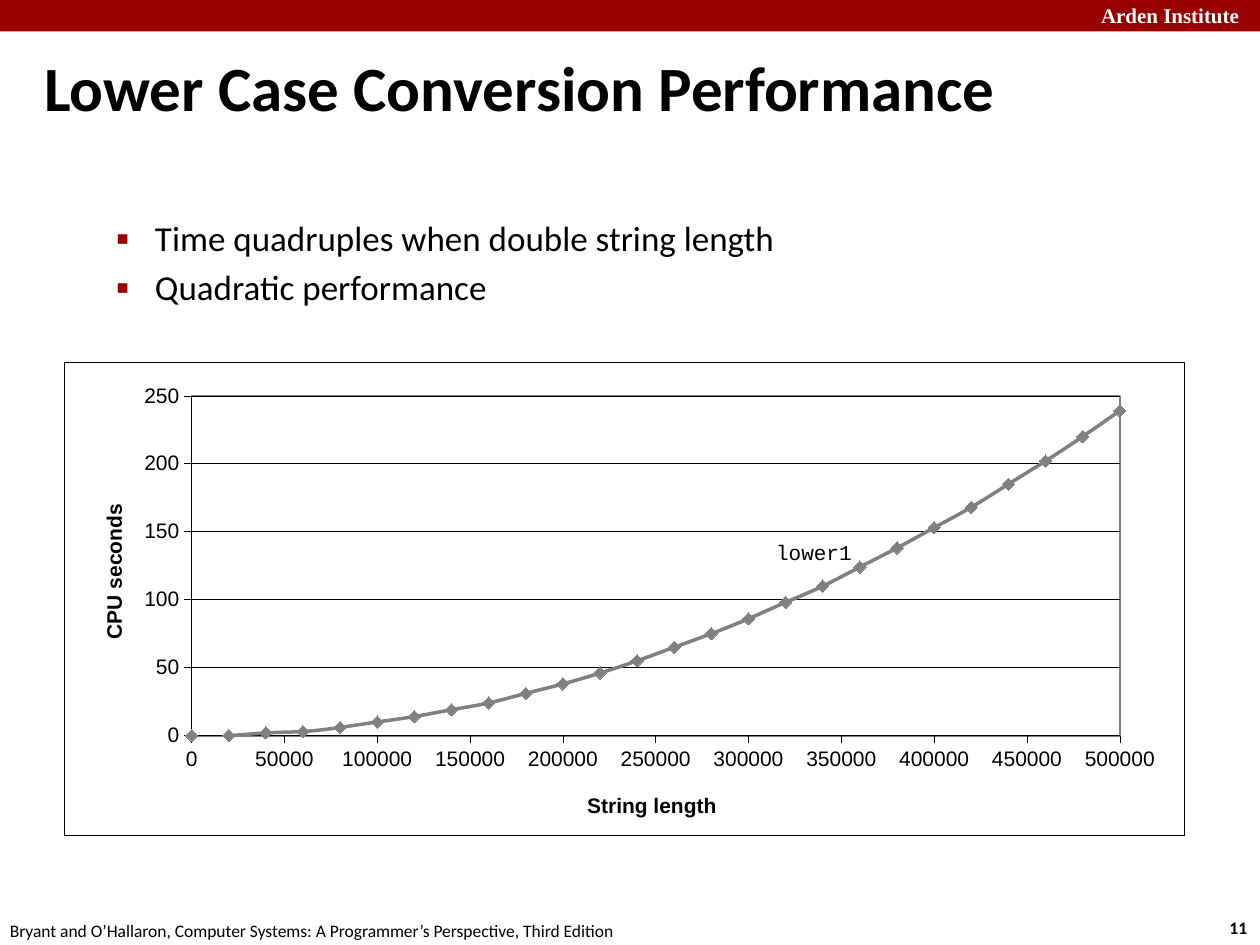
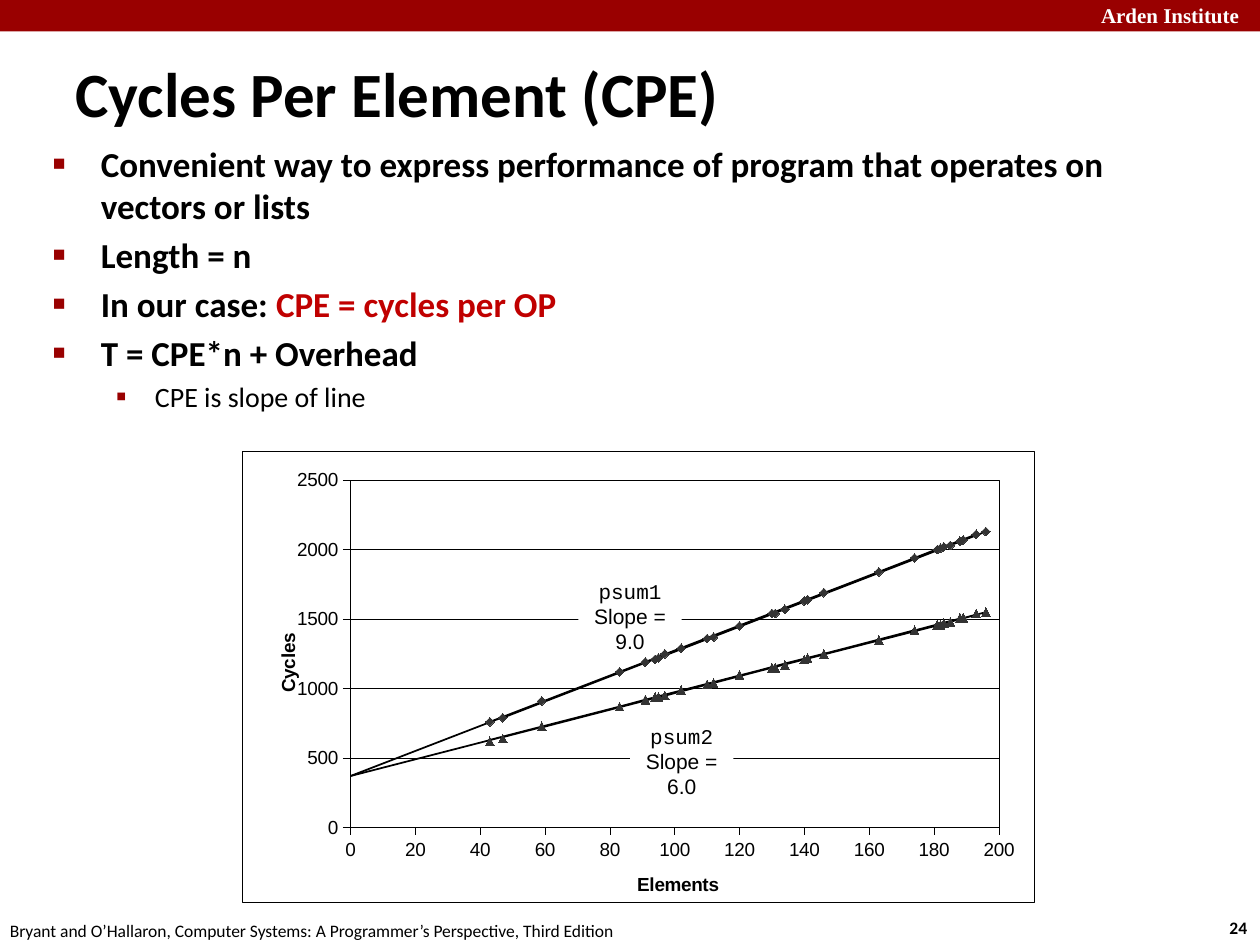
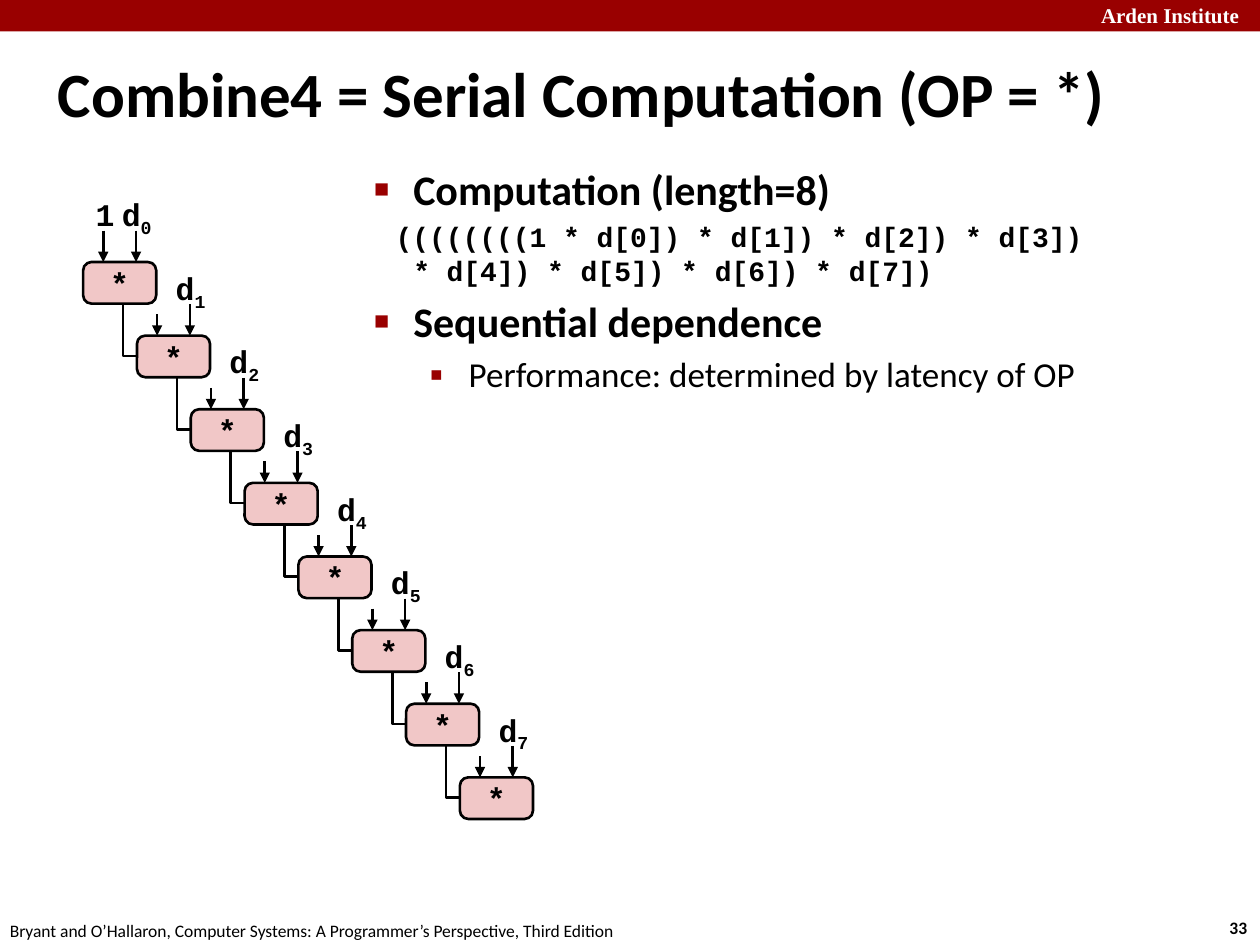
from copy import deepcopy

from lxml import etree
from pptx import Presentation
from pptx.chart.data import XyChartData
from pptx.dml.color import RGBColor
from pptx.enum.chart import XL_CHART_TYPE as ChartType, XL_MARKER_STYLE as Marker
from pptx.enum.chart import XL_TICK_MARK as Tick
from pptx.enum.shapes import MSO_CONNECTOR as Connector, MSO_SHAPE as Shape
from pptx.enum.text import MSO_ANCHOR as Anchor, MSO_AUTO_SIZE as AutoSize, PP_ALIGN as Align
from pptx.oxml import parse_xml
from pptx.oxml.ns import nsdecls, qn
from pptx.util import Inches, Pt

BLACK, WHITE, BAND_RED, ACCENT_RED = "000000", "FFFFFF", "990000", "C00000"
GREY, DARK, NODE_PINK = "808080", "333333", "F1C7C7"
SANS, CHART_FONT, MONO, SERIF = "Calibri", "Arial", "Courier New", "Times New Roman"
ORGANISATION = "Arden Institute"
SOURCE = "Bryant and O’Hallaron, Computer Systems: A Programmer’s Perspective, Third Edition"

# Measured values; the run at length 0 was not measured
LOWER1_SECONDS = [0, 0, 2, 3, 6, 10, 14, 19, 24, 31, 38, 46, 55, 65, 75, 86, 98, 110,
                  124, 138, 153, 168, 185, 202, 220, 239]
ELEMENTS = [0, 193, 120, 91, 95, 196, 97, 181, 91, 83, 43, 183, 140, 146, 94, 134, 163,
            131, 110, 182, 189, 112, 141, 185, 188, 47, 130, 102, 59, 174]
PSUM1_CYCLES = [None, 2110, 1450, 1190, 1220, 2130, 1250, 2000, 1190, 1120, 760, 2020,
                1630, 1690, 1210, 1570, 1840, 1540, 1360, 2010, 2070, 1370, 1640, 2030,
                2060, 790, 1540, 1290, 910, 1940]
PSUM2_CYCLES = [None, 1540, 1100, 920, 940, 1550, 950, 1460, 920, 870, 620, 1470, 1210,
                1250, 940, 1170, 1350, 1150, 1030, 1460, 1510, 1040, 1220, 1480, 1510,
                640, 1150, 990, 730, 1420]
OVERHEAD = 370


def rgb(value):
    return RGBColor.from_string(value)


def inches(*lengths):
    return [Inches(length) for length in lengths]


# Text helpers
def add_run(paragraph, text, size, font=SANS, color=BLACK, bold=False):
    run = paragraph.add_run()
    run.text = text
    run.font.size, run.font.name, run.font.bold = Pt(size), font, bold
    run.font.color.rgb = rgb(color)
    return run


def set_insets(frame, left, top, right, bottom):
    frame.margin_left, frame.margin_top, frame.margin_right, frame.margin_bottom = inches(
        left, top, right, bottom)


def add_label(slide, box, wrap=False):
    frame = slide.shapes.add_textbox(*inches(*box)).text_frame
    frame.word_wrap = wrap
    frame.auto_size = AutoSize.SHAPE_TO_FIT_TEXT
    return frame


def add_filled(slide, kind, box, color):
    shape = slide.shapes.add_shape(kind, *inches(*box))
    shape.shadow.inherit = False
    shape.fill.solid()
    shape.fill.fore_color.rgb = rgb(color)
    shape.line.fill.background()
    return shape


def set_line(line, color, width):
    line.color.rgb = rgb(color)
    line.width = Pt(width)


# Shared slide frame
def add_base_slide(prs, title, title_box, number):
    slide = prs.slides.add_slide(prs.slide_layouts[1])
    add_filled(slide, Shape.RECTANGLE, (0, 0, 10, 0.25), BAND_RED)
    organisation = add_label(slide, (8.64, -0.03, 1.43, 0.3), wrap=True)
    add_run(organisation.paragraphs[0], ORGANISATION, 12, SERIF, WHITE, True)
    page = add_label(slide, (9.66, 7.23, 0.37, 0.27))
    add_run(page.paragraphs[0], number, 10, bold=True)
    add_run(add_label(slide, (-0.02, 7.25, 5.08, 0.27)).paragraphs[0], SOURCE, 10)

    heading = slide.shapes.title
    heading.left, heading.top, heading.width, heading.height = inches(*title_box)
    heading.text_frame.auto_size = AutoSize.NONE
    heading.text_frame.vertical_anchor = Anchor.MIDDLE
    heading.text_frame.paragraphs[0].alignment = Align.LEFT
    add_run(heading.text_frame.paragraphs[0], title, 36, bold=True)
    return slide


# Bulleted body
def place_body(slide, box):
    body = slide.placeholders[1]
    body.left, body.top, body.width, body.height = inches(*box)
    body.text_frame.auto_size = AutoSize.NONE
    return body.text_frame


def add_item(frame, margin, hanging, bullet=None, bullet_size=100, level=0):
    paragraph = frame.paragraphs[0]
    if paragraph.runs:
        paragraph = frame.add_paragraph()
    paragraph.level = level
    props = paragraph._p.get_or_add_pPr()
    props.set("marL", str(Inches(margin)))
    props.set("indent", str(-Inches(hanging)))
    if bullet is None:
        etree.SubElement(props, qn("a:buNone"))
        return paragraph
    color = etree.SubElement(props, qn("a:buClr"))
    etree.SubElement(color, qn("a:srgbClr"), val=BAND_RED)
    etree.SubElement(props, qn("a:buSzPct"), val=str(bullet_size * 1000))
    etree.SubElement(props, qn("a:buFont"), typeface=CHART_FONT)
    etree.SubElement(props, qn("a:buChar"), char=bullet)
    return paragraph


def add_point(frame, text, size, indent=0.38):
    paragraph = add_item(frame, indent, indent, "■", 60)
    add_run(paragraph, text, size, bold=True)
    return paragraph


def add_subpoint(frame, text, size, margin=0.81):
    add_run(add_item(frame, margin, 0.31, "▪", 110, level=1), text, size)


# Scatter charts
def layout_element(chart_box, part_box, inner=False):
    """Place a chart part; part_box is in inches from the chart's corner."""
    layout = etree.Element(qn("c:layout"))
    manual = etree.SubElement(layout, qn("c:manualLayout"))
    settings = [("layoutTarget", "inner")] if inner else []
    settings += [("xMode", "edge"), ("yMode", "edge")]
    width, height = chart_box[2:]
    settings += [(tag, length / whole) for tag, length, whole
                 in zip("xywh", part_box, (width, height, width, height))]
    for tag, value in settings:
        etree.SubElement(manual, qn(f"c:{tag}"), val=str(value))
    return layout


def drop_layout(parent):
    for automatic in parent.findall(qn("c:layout")):
        parent.remove(automatic)


def style_axis(axis, chart_box, size, title, title_at, top, unit):
    axis.minimum_scale, axis.maximum_scale, axis.major_unit = 0, top, unit
    axis.major_tick_mark, axis.minor_tick_mark = Tick.OUTSIDE, Tick.NONE
    axis.has_major_gridlines = False
    axis.tick_labels.font.size = Pt(size)
    set_line(axis.format.line, BLACK, 0.25)
    add_run(axis.axis_title.text_frame.paragraphs[0], title, size, CHART_FONT, bold=True)
    title_element = axis.axis_title._element
    drop_layout(title_element)
    title_element.find(qn("c:tx")).addnext(layout_element(chart_box, title_at))


def outline_xml(color, width, fill):
    return parse_xml(
        f'<c:spPr {nsdecls("c", "a")}>{fill}<a:ln w="{Pt(width)}"><a:solidFill>'
        f'<a:srgbClr val="{color}"/></a:solidFill></a:ln></c:spPr>')


def set_plot_area(chart, chart_box, plot_box, border):
    area = chart._chartSpace.find(".//" + qn("c:plotArea"))
    drop_layout(area)
    area.insert(0, layout_element(chart_box, plot_box, inner=True))
    area.append(outline_xml(*border, "<a:noFill/>"))


def clear_missing_values(chart):
    for point in list(chart._chartSpace.iter(qn("c:pt"))):
        if point.findtext(qn("c:v")) in ("None", "", None):
            point.getparent().remove(point)


def add_scatter(slide, box, plot_box, border, kind, series_points, x_axis, y_axis, size):
    data = XyChartData()
    for index, points in enumerate(series_points, 1):
        series = data.add_series(f"Series {index}")
        for x, y in points:
            series.add_data_point(x, y)
    chart = slide.shapes.add_chart(kind, *inches(*box), data).chart
    clear_missing_values(chart)
    chart.has_title = chart.has_legend = False
    chart.font.size, chart.font.name = Pt(size), CHART_FONT
    chart.font.color.rgb = rgb(BLACK)
    chart.plots[0].vary_by_categories = False
    style_axis(chart.category_axis, box, size, *x_axis)
    style_axis(chart.value_axis, box, size, *y_axis)
    set_line(chart.value_axis.major_gridlines.format.line, BLACK, 0.25)
    set_plot_area(chart, box, plot_box, border)
    white = f'<a:solidFill><a:srgbClr val="{WHITE}"/></a:solidFill>'
    chart._chartSpace.find(qn("c:chart")).addnext(outline_xml(BLACK, 0.25, white))
    smooth = "1" if kind == ChartType.XY_SCATTER_SMOOTH else "0"
    for flag in chart._chartSpace.iter(qn("c:smooth")):
        flag.set("val", smooth)
    return chart


def style_series(series, marker, marker_size=5, color=DARK, line=None):
    series.marker.style = marker
    if marker != Marker.NONE:
        series.marker.size = marker_size
        series.marker.format.fill.solid()
        series.marker.format.fill.fore_color.rgb = rgb(color)
        series.marker.format.line.color.rgb = rgb(color)
    if line:
        set_line(series.format.line, *line)
    else:
        series.format.line.fill.background()


def add_slope_label(slide, left, top, function, slope):
    label = add_filled(slide, Shape.RECTANGLE, (left, top, 0.82, 0.37), WHITE)
    frame = label.text_frame
    frame.word_wrap = True
    frame.auto_size = AutoSize.SHAPE_TO_FIT_TEXT
    frame.vertical_anchor = Anchor.TOP
    set_insets(frame, 0.03, 0.03, 0.03, 0)
    name_line, slope_line = frame.paragraphs[0], frame.add_paragraph()
    name_line.alignment = slope_line.alignment = Align.CENTER
    add_run(name_line, function, 12, MONO)
    add_run(slope_line, f"Slope = {slope}", 12, CHART_FONT)


# Computation chain
def add_arrow(slide, x, top, bottom):
    arrow = slide.shapes.add_connector(Connector.STRAIGHT, *inches(x, top, x, bottom))
    set_line(arrow.line, BLACK, 1.5)
    props = arrow.element.find(qn("p:spPr"))
    etree.SubElement(props.find(qn("a:ln")), qn("a:tailEnd"), type="triangle")
    etree.SubElement(props, qn("a:effectLst"))


def add_operand(slide, left, top, width, name, index=None):
    frame = add_label(slide, (left, top, width, 0.4), wrap=True)
    set_insets(frame, 0.05, 0.05, 0.05, 0.05)
    frame.paragraphs[0].alignment = Align.CENTER
    add_run(frame.paragraphs[0], name, 18, MONO, bold=True)
    if index is not None:
        subscript = add_run(frame.paragraphs[0], str(index), 18, MONO, bold=True)
        subscript.font._element.set("baseline", "-25000")


def add_carry(slide, left, top):
    start, *corners = [tuple(inches(x, y)) for x, y in (
        (left - 0.11, top - 0.25), (left - 0.11, top + 0.16), (left, top + 0.16))]
    builder = slide.shapes.build_freeform(*start)
    builder.add_line_segments(corners, close=False)
    carry = builder.convert_to_shape()
    carry.shadow.inherit = False
    carry.fill.background()
    set_line(carry.line, BLACK, 1.5)


def add_multiplication(slide, left, top, index):
    node = add_filled(slide, Shape.ROUNDED_RECTANGLE, (left, top, 0.58, 0.33), NODE_PINK)
    node.adjustments[0] = 0.2
    set_line(node.line, BLACK, 1.5)
    node.text_frame.word_wrap = False
    node.text_frame.vertical_anchor = Anchor.MIDDLE
    node.text_frame.paragraphs[0].alignment = Align.CENTER
    add_run(node.text_frame.paragraphs[0], "*", 18, MONO, bold=True)
    add_arrow(slide, left + 0.16, top - (0.17 if index else 0.25), top)
    add_arrow(slide, left + 0.42, top - 0.25, top)
    if index:
        add_carry(slide, left, top)
    else:
        add_operand(slide, left + 0.05, top - 0.58, 0.25, "1")
    add_operand(slide, left + 0.25, top - 0.58, 0.35, "d", index)


def add_chain(slide, left, top, width, height, count):
    for index in range(count):
        share = index / (count - 1)
        add_multiplication(slide, left + width * share, top + height * share, index)


# Slides
def build_lower_case_slide(prs):
    slide = add_base_slide(prs, "Lower Case Conversion Performance",
                           (0.25, 0.37, 9.49, 0.63), "11")
    body = place_body(slide, (0.32, 1.67, 9.09, 0.99))
    for text in ("Time quadruples when double string length", "Quadratic performance"):
        add_subpoint(body, text, 20)
    timings = [(20000 * step, seconds) for step, seconds in enumerate(LOWER1_SECONDS)]
    chart = add_scatter(slide, (0.51, 2.87, 8.89, 3.76), (1.01, 0.27, 7.37, 2.7),
                        (GREY, 1), ChartType.XY_SCATTER_SMOOTH, [timings],
                        ("String length", (4.12, 3.39), 500000, 50000),
                        ("CPU seconds", (0.26, 1.1), 250, 50), 12)
    style_series(chart.plots[0].series[0], Marker.DIAMOND, 7, GREY, (GREY, 2))
    curve_name = add_label(slide, (6.13, 4.25, 0.64, 0.24))
    set_insets(curve_name, 0.03, 0.03, 0, 0)
    add_run(curve_name.paragraphs[0], "lower1", 12, MONO)


def fitted_line(cycles_per_element):
    return [(n, round(OVERHEAD + cycles_per_element * n, -1)) for n in ELEMENTS]


def build_cpe_slide(prs):
    slide = add_base_slide(prs, "Cycles Per Element (CPE)", (0.5, 0.42, 8.9, 0.63), "24")
    body = place_body(slide, (0.32, 1.08, 9.09, 1.66))
    add_point(body, "Convenient way to express performance of program that operates on "
                    "vectors or lists", 20)
    add_point(body, "Length = n", 20)
    case = add_point(body, "In our case: ", 20)
    add_run(case, "CPE = cycles per OP", 20, color=ACCENT_RED, bold=True)
    add_point(body, "T = CPE*n + Overhead", 20)
    add_subpoint(body, "CPE is slope of line", 16)

    series_points = [list(zip(ELEMENTS, PSUM1_CYCLES)), fitted_line(9),
                     list(zip(ELEMENTS, PSUM2_CYCLES)), fitted_line(6.01)]
    chart = add_scatter(slide, (1.92, 3.58, 6.29, 3.58), (0.86, 0.23, 5.15, 2.76),
                        (BLACK, 0.25), ChartType.XY_SCATTER, series_points,
                        ("Elements", (3.11, 3.32), 200, 20),
                        ("Cycles", (0.24, 1.42), 2500, 500), 10.8)
    psum1, psum1_fit, psum2, psum2_fit = chart.plots[0].series
    style_series(psum1, Marker.DIAMOND)
    style_series(psum2, Marker.TRIANGLE)
    for fit in (psum1_fit, psum2_fit):
        style_series(fit, Marker.NONE, line=(BLACK, 1))
    add_slope_label(slide, 4.59, 4.56, "psum1", "9.0")
    add_slope_label(slide, 5, 5.71, "psum2", "6.0")


def build_combine4_slide(prs):
    slide = add_base_slide(prs, "Combine4 = Serial Computation (OP = *)",
                           (0.36, 0.31, 9.48, 0.85), "33")
    body = place_body(slide, (2.87, 1.25, 6.96, 1.83))
    add_point(body, "Computation (length=8)", 24, 0.31)
    expression = add_item(body, 0.31, 0.14, level=1)
    opening = add_run(expression, "((((((((1 * d[0]) * d[1]) * d[2]) * d[3])", 16, MONO,
                      bold=True)
    expression.add_line_break()
    expression._p.find(qn("a:br")).append(deepcopy(opening.font._element))
    add_run(expression, "* d[4]) * d[5]) * d[6]) * d[7])", 16, MONO, bold=True)
    add_point(body, "Sequential dependence", 24, 0.31)
    add_subpoint(body, "Performance: determined by latency of OP", 20, 0.75)
    add_chain(slide, 0.66, 2.08, 2.99, 4.09, 8)


def main():
    prs = Presentation()
    prs.slide_width, prs.slide_height = inches(10, 7.5)
    build_lower_case_slide(prs)
    build_cpe_slide(prs)
    build_combine4_slide(prs)
    prs.save("out.pptx")


if __name__ == "__main__":
    main()
